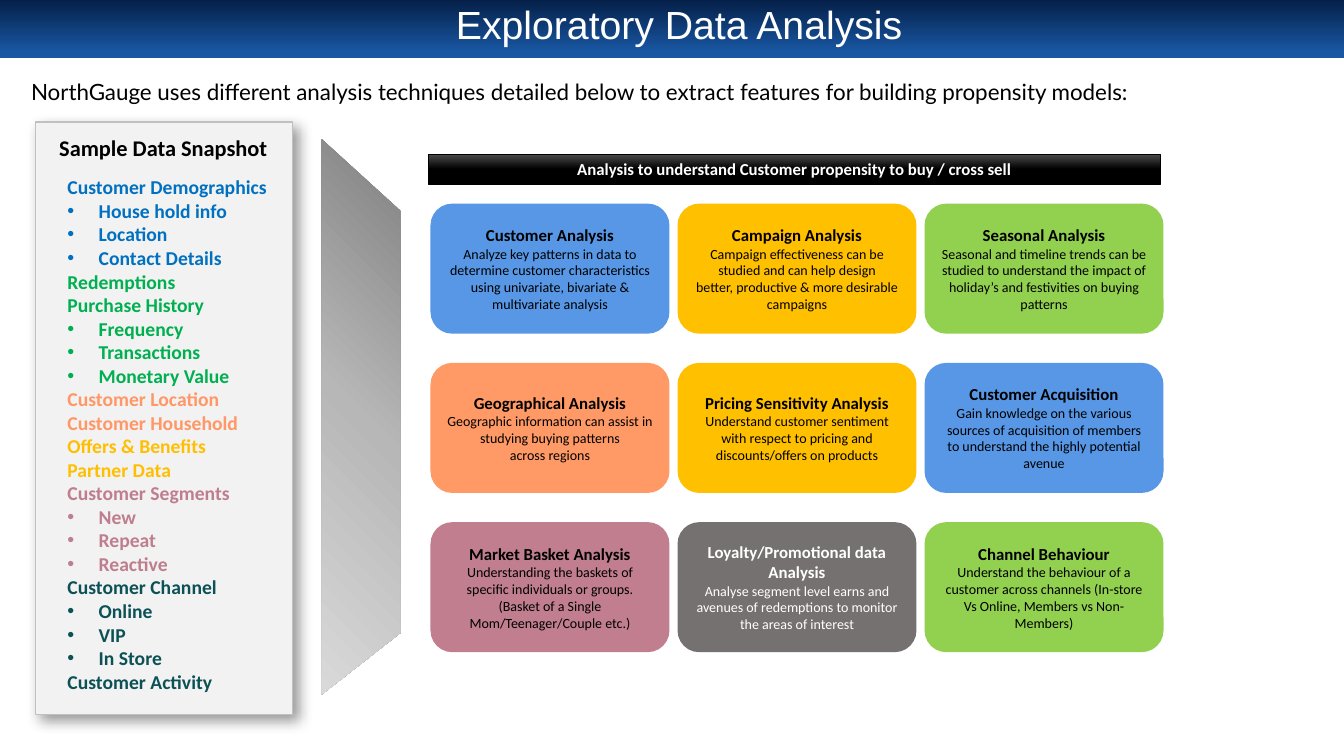
from dataclasses import dataclass

from pptx import Presentation
from pptx import util as u
from pptx.dml.color import RGBColor
from pptx.enum import shapes, text
from pptx.oxml import parse_xml
from pptx.oxml.ns import nsdecls, qn


@dataclass(frozen=True)
class Theme:
    black: str = "000000"
    white: str = "FFFFFF"
    panel: str = "F2F2F2"
    panel_line: str = "C0C0C0"
    blue: str = "5797E5"
    orange: str = "FF9966"
    mauve: str = "C07E8E"
    gold: str = "FFC000"
    gray: str = "767171"
    green: str = "92D050"
    banner: tuple = ((0, "052049"), (90, "1957A3"))
    heading: tuple = ((0, "4B4B4B"), (50, "000000"), (100, "000000"))
    funnel: tuple = ((0, "808080"), (50, "B7B7B7"), (100, "D9D9D9"))
    body_font: str = "Calibri"
    title_font: str = "Arial"
    intro_font: str = "Lato"
    title: int = 28
    lead: int = 16
    item: int = 14
    label: int = 12
    detail: int = 10


THEME = Theme()
CENTER = text.PP_ALIGN.CENTER
MIDDLE = text.MSO_ANCHOR.MIDDLE
RECTANGLE = shapes.MSO_SHAPE.RECTANGLE

DATA_GROUPS = [
    ("0070C0", [("Customer Demographics", ["House hold info", "Location", "Contact Details"])]),
    ("00B050", [("Redemptions", []),
                ("Purchase History", ["Frequency", "Transactions", "Monetary Value"])]),
    ("FF9766", [("Customer Location", []), ("Customer Household", [])]),
    ("FFBF00", [("Offers & Benefits", []), ("Partner Data", [])]),
    ("BF7E8D", [("Customer Segments", ["New", "Repeat", "Reactive"])]),
    ("0C5156", [("Customer Channel", ["Online", "VIP", "In Store"]), ("Customer Activity", [])]),
]

ANALYSES = [
    [(THEME.blue, THEME.black, "Customer Analysis",
      ["Analyze key patterns in data to determine customer characteristics using univariate, "
       "bivariate & multivariate analysis"]),
     (THEME.gold, THEME.black, "Campaign Analysis",
      ["Campaign effectiveness can be studied and can help design",
       "better, productive & more desirable campaigns"]),
     (THEME.green, THEME.black, "Seasonal Analysis",
      ["Seasonal and timeline trends can be studied to understand the impact of holiday’s "
       "and festivities on buying patterns"])],
    [(THEME.orange, THEME.black, "Geographical Analysis",
      ["Geographic information can assist in studying buying patterns", "across regions"]),
     (THEME.gold, THEME.black, "Pricing Sensitivity Analysis",
      ["Understand customer sentiment with respect to pricing and discounts/offers on products"]),
     (THEME.blue, THEME.black, "Customer Acquisition",
      ["Gain knowledge on the various sources of acquisition of members to understand the "
       "highly potential avenue"])],
    [(THEME.mauve, THEME.black, "Market Basket Analysis",
      ["Understanding the baskets of specific individuals or groups.",
       "(Basket of a Single Mom/Teenager/Couple etc.)"]),
     (THEME.gray, THEME.white, "Loyalty/Promotional data Analysis",
      ["Analyse segment level earns and avenues of redemptions to monitor the areas of interest"]),
     (THEME.green, THEME.black, "Channel Behaviour",
      ["Understand the behaviour of a customer across channels (In-store Vs Online, "
       "Members vs Non-Members)"])],
]


def inches(box):
    return [u.Inches(length) for length in box]


def apply(target, **values):
    for name, value in values.items():
        setattr(target, name, value)


def write(frame, lines, anchor=text.MSO_ANCHOR.TOP):
    apply(frame, word_wrap=True, auto_size=text.MSO_AUTO_SIZE.NONE, vertical_anchor=anchor)
    for index, (words, size, color, style) in enumerate(lines):
        para = frame.paragraphs[0] if index == 0 else frame.add_paragraph()
        para.alignment = style.get("align", CENTER)
        if style.get("bullet"):
            settings = para._p.get_or_add_pPr()
            settings.set("marL", str(u.Inches(0.31)))
            settings.set("indent", str(-u.Inches(0.31)))
            settings.append(parse_xml(f'<a:buFont {nsdecls("a")} typeface="Arial"/>'))
            settings.append(parse_xml(f'<a:buChar {nsdecls("a")} char="•"/>'))
        span = para.add_run()
        span.text = words
        apply(span.font, size=u.Pt(size), bold=style.get("bold", False),
              name=style.get("font", THEME.body_font))
        span.font.color.rgb = RGBColor.from_string(color)


def paint(shape, fill, line=None, width=1, angle=90):
    shape.shadow.inherit = False
    shape.fill.solid()
    if isinstance(fill, str):
        shape.fill.fore_color.rgb = RGBColor.from_string(fill)
    else:
        stops = "".join(f'<a:gs pos="{place * 1000}"><a:srgbClr val="{color}"/></a:gs>'
                        for place, color in fill)
        gradient = parse_xml(f'<a:gradFill {nsdecls("a")} rotWithShape="1"><a:gsLst>{stops}'
                             f'</a:gsLst><a:lin ang="{angle * 60000}" scaled="0"/></a:gradFill>')
        properties = shape.element.spPr
        properties.replace(properties.find(qn("a:solidFill")), gradient)
    if line:
        shape.line.color.rgb = RGBColor.from_string(line)
        shape.line.width = u.Pt(width)
    else:
        shape.line.fill.background()


def add_title(slide, box):
    left, top, width, height = box
    band = slide.shapes.add_shape(RECTANGLE, *inches(box))
    paint(band, THEME.banner)
    title = slide.shapes.title
    place = inches((left, top + 0.04, width + 0.14, height - 0.13))
    apply(title, **dict(zip(("left", "top", "width", "height"), place)))
    write(title.text_frame, [("Exploratory Data Analysis", THEME.title, THEME.white,
                              {"font": THEME.title_font})], MIDDLE)
    title.text_frame.paragraphs[0].line_spacing = 0.9
    slide.shapes.element.append(title.element)


def add_intro(slide, box):
    intro = slide.shapes.add_textbox(*inches(box))
    words = ("NorthGauge uses different analysis techniques detailed below to extract features "
             "for building propensity models:")
    write(intro.text_frame, [(words, THEME.lead, THEME.black, {
        "font": THEME.intro_font, "align": text.PP_ALIGN.LEFT})], MIDDLE)


def add_snapshot(slide, box):
    left, top, width, height = box
    panel = slide.shapes.add_shape(RECTANGLE, *inches(box))
    paint(panel, THEME.panel, THEME.panel_line)
    panel.element.spPr.find(qn("a:effectLst")).append(parse_xml(
        f'<a:outerShdw {nsdecls("a")} blurRad="{u.Pt(10)}" dist="{u.Pt(5)}" dir="2700000" '
        f'algn="tl" rotWithShape="0"><a:srgbClr val="{THEME.black}"><a:alpha val="40000"/>'
        '</a:srgbClr></a:outerShdw>'))
    heading = slide.shapes.add_textbox(*inches((left + 0.08, top + 0.07, width - 0.17, 0.38)))
    write(heading.text_frame,
          [("Sample Data Snapshot", THEME.lead, THEME.black, {"bold": True})])
    lines = []
    for color, topics in DATA_GROUPS:
        for topic, items in topics:
            for words in [topic, *items]:
                lines.append((words, THEME.item, color, {
                    "bold": True, "align": text.PP_ALIGN.LEFT, "bullet": words != topic}))
    listing = slide.shapes.add_textbox(
        *inches((left + 0.22, top + 0.48, width - 0.3, height - 0.6)))
    write(listing.text_frame, lines)


def add_funnel(slide, box):
    left, top, width, height = box
    corners = [(left, top), (left + width, top + 0.71),
               (left + width, top + height - 0.61), (left, top + height)]
    points = [tuple(inches(corner)) for corner in corners]
    builder = slide.shapes.build_freeform(*points[0], scale=1.0)
    builder.add_line_segments(points[1:], close=True)
    paint(builder.convert_to_shape(), THEME.funnel, angle=135)


def add_analyses(slide, box):
    left, top, width, height = box
    heading = slide.shapes.add_shape(RECTANGLE, *inches((left - 0.02, top, width - 0.01, 0.3)))
    paint(heading, THEME.heading, THEME.black, 0.5)
    write(heading.text_frame, [("Analysis to understand Customer propensity to buy / cross sell",
                                THEME.label, THEME.white, {"bold": True})])
    card_width, card_height, first_row = 2.37, 1.29, 0.49
    step_x = (width - card_width) / 2
    step_y = (height - first_row - card_height) / 2
    for row, analyses in enumerate(ANALYSES):
        for column, (fill, color, name, details) in enumerate(analyses):
            card = slide.shapes.add_shape(shapes.MSO_SHAPE.ROUNDED_RECTANGLE, *inches((
                left + column * step_x, top + first_row + row * step_y,
                card_width, card_height)))
            paint(card, fill)
            lines = [(name, THEME.label, color, {"bold": True})]
            lines += [(detail, THEME.detail, color, {}) for detail in details]
            write(card.text_frame, lines, MIDDLE)


def main():
    deck = Presentation()
    apply(deck, slide_width=u.Inches(13.33), slide_height=u.Inches(7.5))
    slide = deck.slides.add_slide(deck.slide_layouts.get_by_name("Title Only"))
    add_title(slide, (0, 0, 13.33, 0.58))
    add_intro(slide, (0.21, 0.68, 13.1, 0.45))
    add_snapshot(slide, (0.35, 1.21, 2.55, 5.88))
    add_funnel(slide, (3.19, 1.38, 0.78, 5.51))
    add_analyses(slide, (4.27, 1.53, 7.27, 4.94))
    deck.save("out.pptx")


if __name__ == "__main__":
    main()
